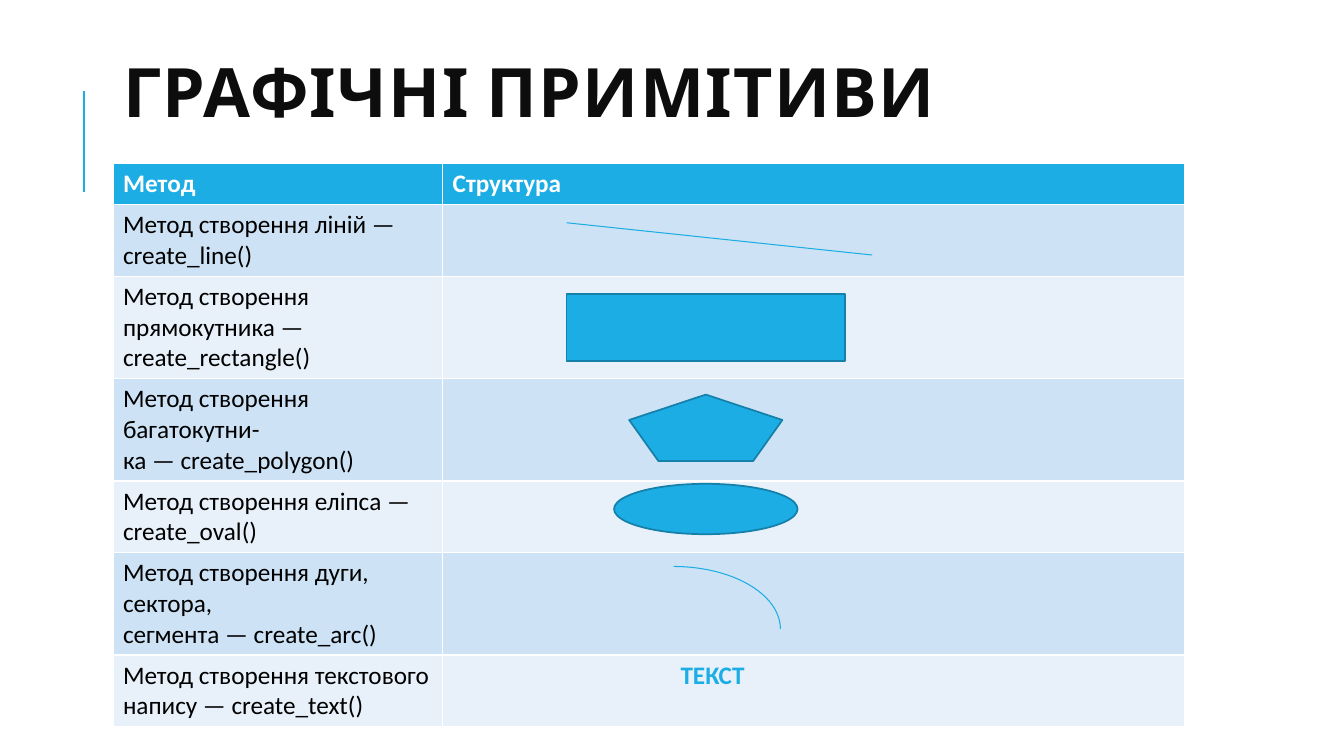
from lxml.etree import SubElement
from pptx import Presentation
from pptx.dml.color import RGBColor
from pptx.enum.shapes import MSO_CONNECTOR, MSO_SHAPE
from pptx.enum.text import MSO_ANCHOR, MSO_AUTO_SIZE, PP_ALIGN
from pptx.oxml.ns import qn
from pptx.util import Inches, Pt

SLIDE_WIDTH, SLIDE_HEIGHT = 13.33, 7.5
BLUE, DARK_BLUE, WHITE, BLACK = "1CADE4", "1580A9", "FFFFFF", "000000"
BANDS = ("CDE3F5", "E8F1FA")

TABLE_LEFT, TABLE_TOP = 1.12, 1.62
COLUMN_WIDTHS = (3.27, 7.36)
TABLE_WIDTH = sum(COLUMN_WIDTHS)
HEADER, SHORT, TALL = 0.41, 0.71, 1.015
ROW_HEIGHTS = (HEADER, SHORT, TALL, TALL, SHORT, TALL, SHORT)
FIGURE_CENTER = 7.0

HEADINGS = ("Метод", "Структура")
METHODS = (
    "Метод створення ліній — create_line()",
    "Метод створення прямокутника — create_rectangle()",
    "Метод створення багатокутни-\nка — create_polygon()",
    "Метод створення еліпса —\ncreate_oval()",
    "Метод створення дуги, сектора,\nсегмента — create_arc()",
    "Метод створення текстового\nнапису — create_text()",
)


def color(hex_value):
    return RGBColor.from_string(hex_value)


def row_top(row):
    return TABLE_TOP + sum(ROW_HEIGHTS[:row])


def write_text(text_frame, text, size=18, font="Calibri", fill=BLACK, bold=False,
               line_spacing=None, letter_spacing=None, indent=None):
    """Fill a text frame, one paragraph for each line of the text."""
    text_frame.text = text
    for paragraph in text_frame.paragraphs:
        paragraph.alignment = PP_ALIGN.LEFT
        if line_spacing:
            paragraph.line_spacing = line_spacing
        if indent:
            properties = paragraph._p.get_or_add_pPr()
            properties.set("marL", str(Inches(indent)))
            properties.set("indent", "0")
        for run in paragraph.runs:
            run.font.size = Pt(size)
            run.font.name = font
            run.font.bold = bold
            run.font.color.rgb = color(fill)
            if letter_spacing:
                run._r.get_or_add_rPr().set("spc", str(letter_spacing * 100))


def add_title(slide, text):
    title = slide.shapes.title
    title.left, title.top = Inches(TABLE_LEFT), Inches(0.64)
    title.width, title.height = Inches(TABLE_WIDTH), Inches(0.66)
    write_text(title.text_frame, text, size=48.6, font="Cabin", fill="0D0D0D",
               bold=True, line_spacing=0.8, letter_spacing=1)
    title.text_frame.auto_size = MSO_AUTO_SIZE.NONE
    title.text_frame.vertical_anchor = MSO_ANCHOR.MIDDLE


def add_line(slide, start, end, width):
    line = slide.shapes.add_connector(
        MSO_CONNECTOR.STRAIGHT, *map(Inches, (*start, *end)))
    line.line.color.rgb = color(BLUE)
    line.line.width = Pt(width)
    SubElement(line._element.spPr, qn("a:effectLst"))


def add_figure(slide, kind, row, offset, width, height, center=FIGURE_CENTER,
               filled=True):
    """Draw a preset shape at an offset below the top of a table row."""
    figure = slide.shapes.add_shape(
        kind, Inches(center - width / 2), Inches(row_top(row) + offset),
        Inches(width), Inches(height))
    figure.shadow.inherit = False
    if filled:
        figure.fill.solid()
        figure.fill.fore_color.rgb = color(BLUE)
    else:
        figure.fill.background()
    figure.line.color.rgb = color(DARK_BLUE if filled else BLUE)
    figure.line.width = Pt(1.25 if filled else 0.75)


def add_methods_table(slide):
    table = slide.shapes.add_table(
        len(ROW_HEIGHTS), len(COLUMN_WIDTHS), Inches(TABLE_LEFT), Inches(TABLE_TOP),
        Inches(TABLE_WIDTH), Inches(sum(ROW_HEIGHTS))).table
    for column, width in zip(table.columns, COLUMN_WIDTHS):
        column.width = Inches(width)
    for index, (row, height) in enumerate(zip(table.rows, ROW_HEIGHTS)):
        row.height = Inches(height)
        for cell in row.cells:
            cell.fill.solid()
            cell.fill.fore_color.rgb = color(BANDS[(index - 1) % 2] if index else BLUE)
    for column, heading in enumerate(HEADINGS):
        write_text(table.cell(0, column).text_frame, heading, fill=WHITE, bold=True)
    for row, method in enumerate(METHODS, start=1):
        write_text(table.cell(row, 0).text_frame, method)
    write_text(table.cell(len(METHODS), 1).text_frame, "ТЕКСТ", fill=BLUE,
               bold=True, indent=2.26)


def main():
    presentation = Presentation()
    presentation.slide_width = Inches(SLIDE_WIDTH)
    presentation.slide_height = Inches(SLIDE_HEIGHT)
    slide = presentation.slides.add_slide(presentation.slide_layouts[5])

    add_line(slide, (0.83, 1.9), (0.83, 0.9), width=1.5)
    add_title(slide, "ГРАФІЧНІ ПРИМІТИВИ")
    add_methods_table(slide)

    add_line(slide, (5.62, row_top(1) + 0.18), (8.65, row_top(1) + 0.5), width=0.75)
    add_figure(slide, MSO_SHAPE.RECTANGLE, 2, 0.18, 2.76, 0.66)
    add_figure(slide, MSO_SHAPE.REGULAR_PENTAGON, 3, 0.16, 1.52, 0.66)
    add_figure(slide, MSO_SHAPE.OVAL, 4, 0.03, 1.82, 0.5)
    add_figure(slide, MSO_SHAPE.ARC, 5, 0.14, 2.12, 1.24, center=6.68, filled=False)

    presentation.save("out.pptx")


if __name__ == "__main__":
    main()
